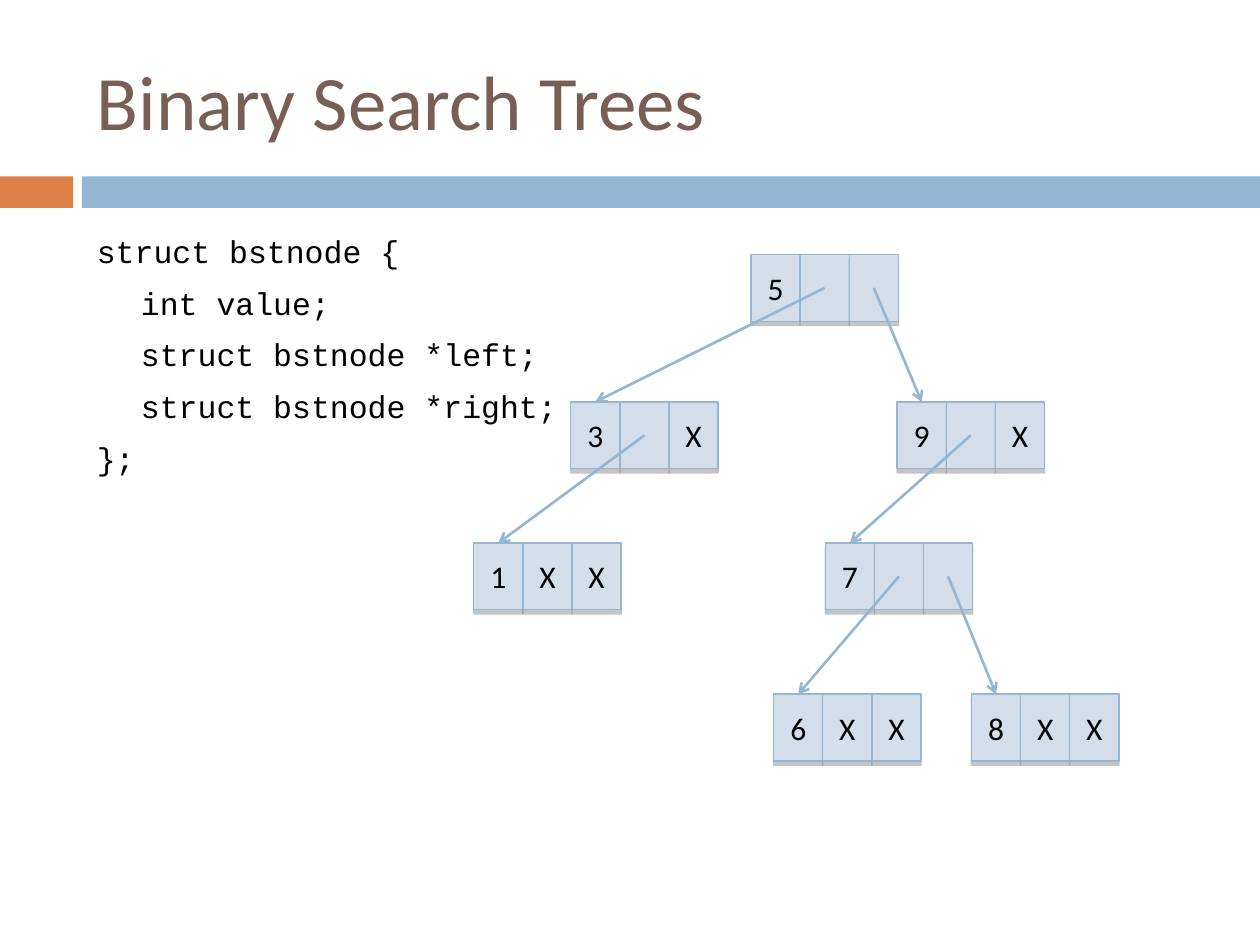
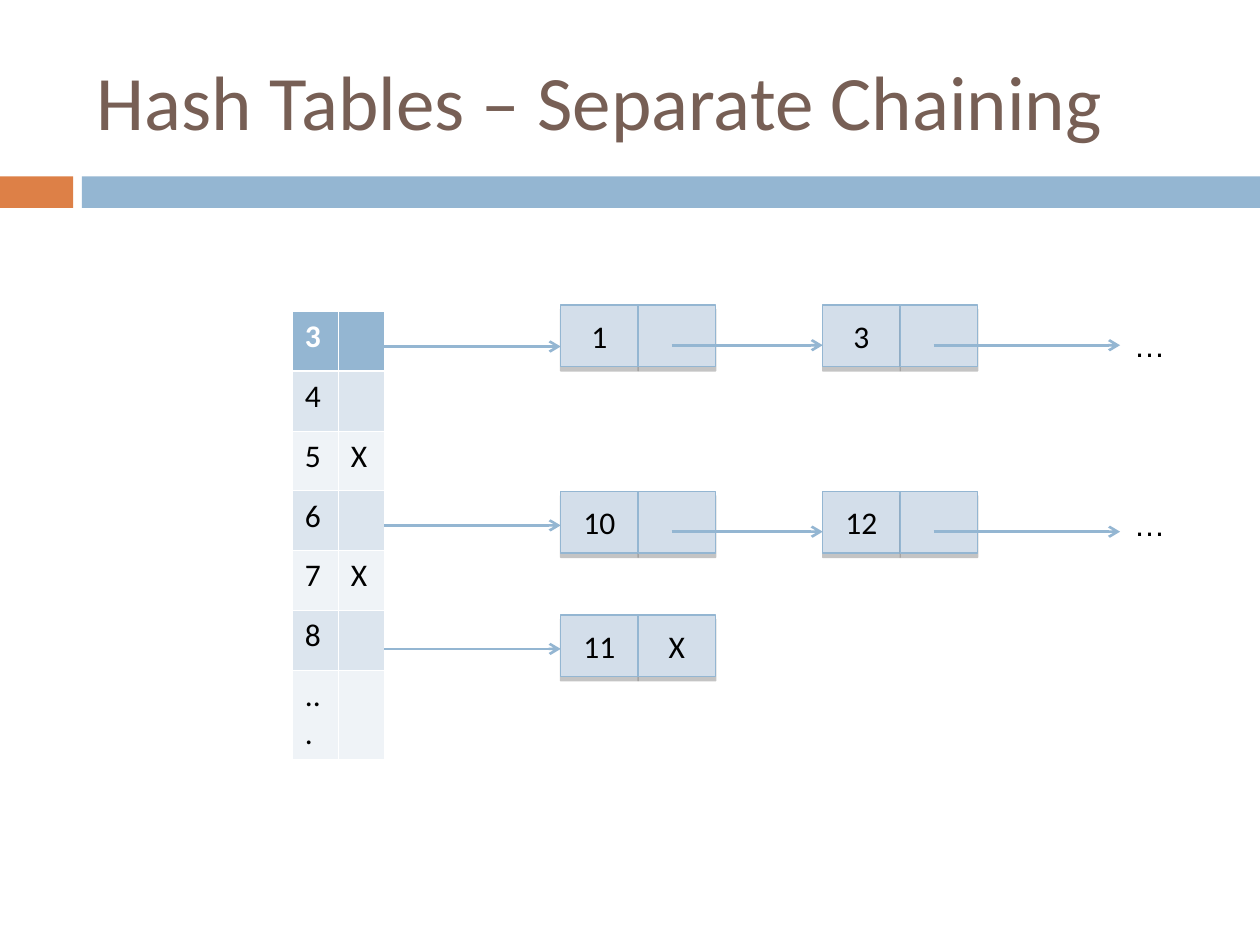
from lxml import etree
from pptx import Presentation
from pptx.dml.color import RGBColor
from pptx.enum.shapes import MSO_CONNECTOR, MSO_SHAPE
from pptx.enum.text import MSO_ANCHOR, PP_ALIGN
from pptx.oxml.ns import qn
from pptx.util import Inches, Pt

RECTANGLE = MSO_SHAPE.RECTANGLE
STRAIGHT = MSO_CONNECTOR.STRAIGHT
MIDDLE = MSO_ANCHOR.MIDDLE
CENTER = PP_ALIGN.CENTER

COLORS = {
    "title": "775F55",
    "accent": "DD8047",
    "blue": "94B6D2",
    "cell": "D3DEEA",
    "row_dark": "DCE5EE",
    "row_light": "EFF3F7",
    "shadow": "808080",
    "text": "000000",
    "white": "FFFFFF",
}
BODY_FONT = "Calibri"
CODE_FONT = "Courier New"
ELLIPSIS_FONT = "Arial"

CODE_LINES = [
    ("struct bstnode {", 0),
    ("int value;", 0.35),
    ("struct bstnode *left;", 0.35),
    ("struct bstnode *right;", 0.35),
    ("};", 0),
]

# value: (left, top, left child, right child)
TREE = {
    "5": (5.96, 2.02, "3", "9"),
    "3": (4.53, 3.19, "1", None),
    "9": (7.12, 3.19, "7", None),
    "1": (3.76, 4.31, None, None),
    "7": (6.55, 4.31, "6", "8"),
    "6": (6.14, 5.51, None, None),
    "8": (7.71, 5.51, None, None),
}
TREE_CELL = (0.39, 0.53)

BUCKETS = [("3", ""), ("4", ""), ("5", "X"), ("6", ""), ("7", "X"), ("8", ""), ("...", "")]
BUCKET_BOX = (2.32, 2.47, 0.73, 3.56)
BUCKET_ROW = 0.475

# node top, bucket arrow height, ellipsis top, values
CHAINS = [
    (2.42, 2.75, 2.54, ["1", "3"]),
    (3.9, 4.17, 3.96, ["10", "12"]),
    (4.88, 5.15, None, ["11"]),
]
CHAIN_CELL = (0.615, 0.49)
CHAIN_LEFT, CHAIN_STEP, CHAIN_END = 4.45, 2.08, 8.89


def color(name):
    return RGBColor.from_string(COLORS[name])


def add_run(paragraph, text, size=18, font=BODY_FONT, color_name="text", bold=False):
    run = paragraph.add_run()
    run.text = text
    run.font.size = Pt(size)
    run.font.name = font
    run.font.bold = bold
    run.font.color.rgb = color(color_name)


def add_text_frame(slide, box, wrap=True):
    frame = slide.shapes.add_textbox(*map(Inches, box)).text_frame
    frame.word_wrap = wrap
    return frame


def add_rectangle(slide, box, fill):
    shape = slide.shapes.add_shape(RECTANGLE, *map(Inches, box))
    shape.shadow.inherit = False
    shape.fill.solid()
    shape.fill.fore_color.rgb = color(fill)
    shape.line.fill.background()
    return shape


def add_drop_shadow(shape):
    effects = shape._element.spPr.find(qn("a:effectLst"))
    shadow = etree.SubElement(effects, qn("a:outerShdw"), blurRad="0",
                              dist=str(Pt(2.4)), dir="5400000", rotWithShape="0")
    tone = etree.SubElement(shadow, qn("a:srgbClr"), val=COLORS["shadow"])
    etree.SubElement(tone, qn("a:alpha"), val="45000")


def add_node(slide, left, top, cell_size, texts):
    """Draw a record as a row of adjoining cells."""
    width, height = cell_size
    for index, text in enumerate(texts):
        cell = add_rectangle(slide, (left + index * width, top, width, height), "cell")
        cell.line.color.rgb = color("blue")
        cell.line.width = Pt(0.79)
        add_drop_shadow(cell)
        if text:
            frame = cell.text_frame
            frame.vertical_anchor = MIDDLE
            frame.paragraphs[0].alignment = CENTER
            add_run(frame.paragraphs[0], text)


def add_arrow(slide, start, end):
    arrow = slide.shapes.add_connector(STRAIGHT, *map(Inches, (*start, *end)))
    arrow.line.color.rgb = color("blue")
    arrow.line.width = Pt(1.5)
    etree.SubElement(arrow.line._get_or_add_ln(), qn("a:tailEnd"), type="arrow")
    etree.SubElement(arrow._element.spPr, qn("a:effectLst"))


def add_titled_slide(presentation, title):
    slide = presentation.slides.add_slide(presentation.slide_layouts[6])
    add_rectangle(slide, (0, 1.4, 0.58, 0.25), "accent")
    add_rectangle(slide, (0.65, 1.4, 9.35, 0.25), "blue")
    frame = add_text_frame(slide, (0.67, 0.25, 8.92, 1.08))
    frame.vertical_anchor = MIDDLE
    add_run(frame.paragraphs[0], title, 44, color_name="title")
    return slide


def add_code(slide, box):
    frame = add_text_frame(slide, box)
    frame.margin_top = Inches(0.09)
    for index, (text, indent) in enumerate(CODE_LINES):
        paragraph = frame.add_paragraph() if index else frame.paragraphs[0]
        if index:
            paragraph.space_before = Pt(8)
        paragraph._p.get_or_add_pPr().set("marL", str(Inches(indent)))
        add_run(paragraph, text, font=CODE_FONT)


def add_tree(slide):
    width, height = TREE_CELL
    for value, (left, top, *children) in TREE.items():
        pointers = ["" if child else "X" for child in children]
        add_node(slide, left, top, TREE_CELL, [value, *pointers])
    for left, top, *children in TREE.values():
        for column, child in enumerate(children, start=1):
            if child:
                child_left, child_top = TREE[child][:2]
                add_arrow(slide, (left + (column + 0.5) * width, top + height / 2),
                          (child_left + width / 2, child_top))


def set_borders(cell, bottom_width, top_width):
    properties = cell._tc.get_or_add_tcPr()
    for side, width in (("L", 0.45), ("R", 0.45), ("T", top_width), ("B", bottom_width)):
        line = etree.SubElement(properties, qn(f"a:ln{side}"), w=str(Pt(width)))
        fill = etree.SubElement(line, qn("a:solidFill"))
        etree.SubElement(fill, qn("a:srgbClr"), val=COLORS["white"])


def add_bucket_table(slide, box):
    width, height = box[2:]
    table = slide.shapes.add_table(len(BUCKETS), 2, *map(Inches, box)).table
    for column in table.columns:
        column.width = Inches(width / 2)
    last = len(BUCKETS) - 1
    for row, texts in enumerate(BUCKETS):
        table.rows[row].height = Inches(BUCKET_ROW if row < last else height - last * BUCKET_ROW)
        header = row == 0
        fill = "blue" if header else ("row_dark" if row % 2 else "row_light")
        for column, text in enumerate(texts):
            cell = table.cell(row, column)
            set_borders(cell, 1.47 if header else 0.45, 1.47 if row == 1 else 0.45)
            cell.fill.solid()
            cell.fill.fore_color.rgb = color(fill)
            if text:
                add_run(cell.text_frame.paragraphs[0], text,
                        color_name="white" if header else "text", bold=header)


def add_chain(slide, top, bucket_y, ellipsis_top, values):
    """Draw one bucket's linked list, open-ended when it has an ellipsis."""
    lefts = [CHAIN_LEFT + index * CHAIN_STEP for index in range(len(values))]
    add_arrow(slide, (BUCKET_BOX[0] + BUCKET_BOX[2], bucket_y), (CHAIN_LEFT, bucket_y))
    open_ended = ellipsis_top is not None
    for left, value in zip(lefts, values):
        add_node(slide, left, top, CHAIN_CELL, [value, "" if open_ended else "X"])
    if open_ended:
        link_y = top + 0.32
        for left, target in zip(lefts, [*lefts[1:], CHAIN_END]):
            add_arrow(slide, (left + 0.88, link_y), (target, link_y))
        frame = add_text_frame(slide, (8.9, ellipsis_top, 0.45, 0.4), wrap=False)
        add_run(frame.paragraphs[0], "…", font=ELLIPSIS_FONT)


def build_tree_slide(presentation):
    slide = add_titled_slide(presentation, "Binary Search Trees")
    add_code(slide, (0.67, 1.75, 8.92, 4.92))
    add_tree(slide)


def build_hash_slide(presentation):
    slide = add_titled_slide(presentation, "Hash Tables – Separate Chaining")
    add_bucket_table(slide, BUCKET_BOX)
    for chain in CHAINS:
        add_chain(slide, *chain)


def main():
    presentation = Presentation()
    presentation.slide_width = Inches(10)
    presentation.slide_height = Inches(7.5)
    build_tree_slide(presentation)
    build_hash_slide(presentation)
    presentation.save("out.pptx")


if __name__ == "__main__":
    main()
